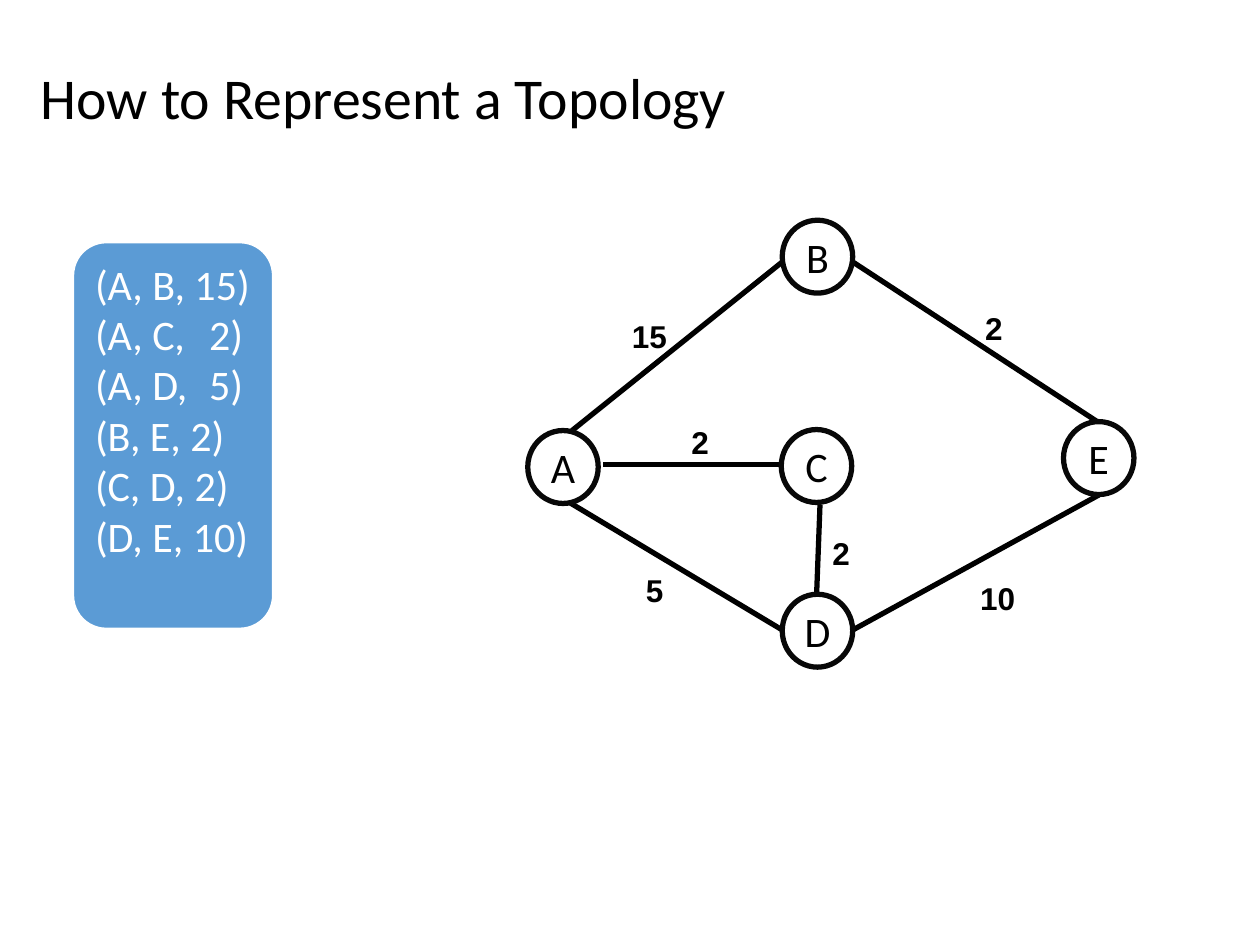
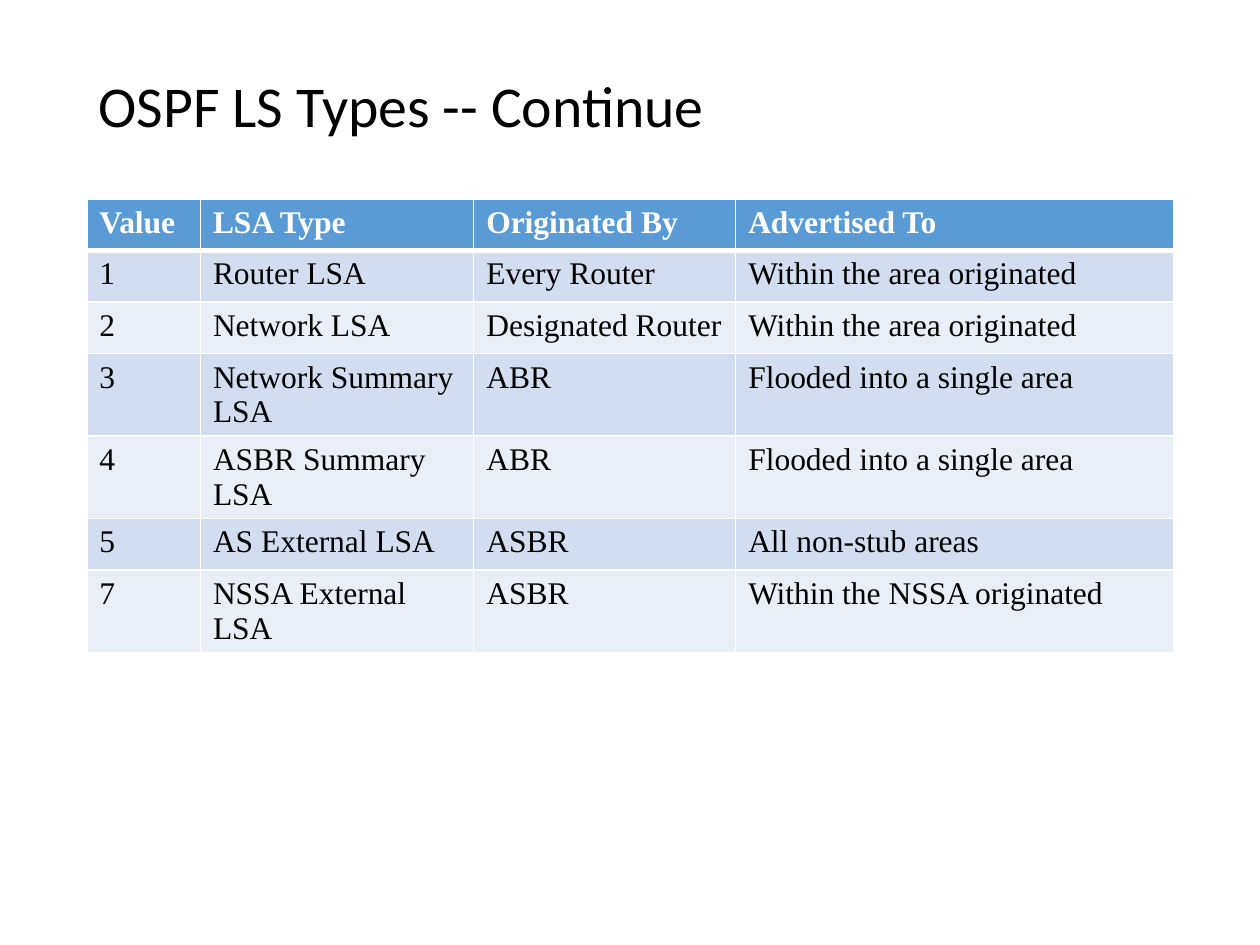
from dataclasses import dataclass

from lxml.etree import SubElement
from pptx import Presentation
from pptx.dml.color import RGBColor
from pptx.enum.shapes import MSO_CONNECTOR, MSO_SHAPE
from pptx.enum.text import MSO_ANCHOR, MSO_AUTO_SIZE, PP_ALIGN
from pptx.oxml.ns import qn
from pptx.util import Cm, Pt


@dataclass(frozen=True)
class Theme:
    ink: str = "000000"
    ring: str = "080808"
    paper: str = "FFFFFF"
    blue: str = "5B9BD5"
    bands: tuple = ("D2DEEF", "EAEFF7")
    sans: str = "Calibri"
    bold: str = "Arial"
    serif: str = "Times New Roman"
    head: int = 33
    big: int = 24
    small: int = 18
    stroke: int = 3
    thin: int = 1


THEME = Theme()

LINKS = ["(A, B, 15)", "(A, C,\t2)", "(A, D,\t5)", "(B, E, 2)", "(C, D, 2)", "(D, E, 10)"]

# Offsets in cm from the top left corner of the graph.
NODE = (1.42, 1.47)
NODES = {"B": (5.13, 0), "E": (10.8, 4.06), "C": (5.11, 4.22),
         "D": (5.13, 7.54), "A": (0, 4.24)}
# Cost, line start, line end, label corner, label width.
EDGES = [
    ("15", (0.89, 4.24), (5.13, 0.84), (1.9, 1.85), 1.42),
    ("2", (6.55, 0.84), (11.48, 4.06), (9.02, 1.68), 1.07),
    ("10", (6.55, 8.26), (11.51, 5.54), (8.92, 7.14), 1.73),
    ("5", (5.13, 8.26), (0.84, 5.69), (2.18, 6.98), 1.07),
    ("2", (1.52, 4.93), (5.13, 4.93), (3.1, 3.99), 1.07),
    ("2", (5.82, 7.59), (5.89, 5.74), (5.94, 6.22), 1.07),
]

COLS = (2.29, 5.51, 5.28, 8.84)
ROWS = [
    ("Value", "LSA Type", "Originated By", "Advertised To"),
    ("1", "Router LSA", "Every Router", "Within the area originated"),
    ("2", "Network LSA", "Designated Router", "Within the area originated"),
    ("3", "Network Summary LSA", "ABR", "Flooded into a single area"),
    ("4", "ASBR Summary LSA", "ABR", "Flooded into a single area"),
    ("5", "AS External LSA", "ASBR", "All non-stub areas"),
    ("7", "NSSA External LSA", "ASBR", "Within the NSSA originated"),
]


def color(code):
    return RGBColor.from_string(code)


def write(frame, text, size=THEME.big, font=THEME.sans, ink=THEME.ink, bold=False,
          align=PP_ALIGN.LEFT, anchor=MSO_ANCHOR.TOP, wrap=True, pad=None, lead=None):
    """Fill a text frame, one paragraph for each line; pad is (side, top) in cm."""
    frame.word_wrap = wrap
    frame.vertical_anchor = anchor
    if pad:
        frame.margin_left = frame.margin_right = Cm(pad[0])
        frame.margin_top = frame.margin_bottom = Cm(pad[1])
    for i, line in enumerate(text.split("\n")):
        para = frame.paragraphs[0] if i == 0 else frame.add_paragraph()
        para.alignment = align
        if lead:
            para.line_spacing = lead
        run = para.add_run()
        run.text = line
        run.font.size, run.font.name, run.font.bold = Pt(size), font, bold
        run.font.color.rgb = color(ink)


def start(deck, title, left, top, anchor):
    """Add a slide whose title sits at the given place."""
    slide = deck.slides.add_slide(deck.slide_layouts[5])
    shape = slide.shapes.title
    shape.left, shape.top, shape.width, shape.height = Cm(left), Cm(top), Cm(21.9), Cm(2.36)
    shape.text_frame.auto_size = MSO_AUTO_SIZE.NONE
    write(shape.text_frame, title, size=THEME.head, anchor=anchor,
          pad=(0.24, 0.12), lead=0.9)
    return slide


def add_tab(para, pos):
    tabs = SubElement(para._p.get_or_add_pPr(), qn("a:tabLst"))
    SubElement(tabs, qn("a:tab"), pos=str(Cm(pos)), algn="l")


def add_list(slide, left, top, width, height):
    """Draw the panel that lists the links with their costs."""
    panel = slide.shapes.add_shape(MSO_SHAPE.FLOWCHART_ALTERNATE_PROCESS,
                                   Cm(left), Cm(top), Cm(width), Cm(height))
    panel.shadow.inherit = False
    panel.fill.solid()
    panel.fill.fore_color.rgb = color(THEME.blue)
    panel.line.color.rgb = color(THEME.paper)
    panel.line.width = Pt(1.5)
    write(panel.text_frame, "\n".join(LINKS), ink=THEME.paper, wrap=False)
    for para in panel.text_frame.paragraphs:
        if "\t" in para.text:
            add_tab(para, 2.3)


def add_edge(slide, begin, end):
    line = slide.shapes.add_connector(MSO_CONNECTOR.STRAIGHT,
                                      *(Cm(v) for v in begin + end))
    line.line.color.rgb = color(THEME.ink)
    line.line.width = Pt(THEME.stroke)
    SubElement(line._element.spPr, qn("a:effectLst"))


def add_node(slide, name, spot):
    node = slide.shapes.add_shape(MSO_SHAPE.OVAL, *(Cm(v) for v in spot + NODE))
    node.shadow.inherit = False
    node.fill.background()
    node.line.color.rgb = color(THEME.ring)
    node.line.width = Pt(THEME.stroke)
    write(node.text_frame, name, align=PP_ALIGN.CENTER, anchor=MSO_ANCHOR.MIDDLE,
          wrap=False, pad=(0, 0))


def add_graph(slide, left, top):
    def place(spot):
        return left + spot[0], top + spot[1]

    for _, begin, end, _, _ in EDGES:
        add_edge(slide, place(begin), place(end))
    for name, spot in NODES.items():
        add_node(slide, name, place(spot))
    for cost, _, _, spot, width in EDGES:
        x, y = place(spot)
        label = slide.shapes.add_textbox(Cm(x), Cm(y), Cm(width), Cm(0.97))
        write(label.text_frame, cost, size=THEME.small, font=THEME.bold, bold=True,
              pad=(0.2, 0.1))


def set_edges(cell, **widths):
    """Rule the cell sides L, R, T and B in white, with widths in points."""
    props = cell._tc.get_or_add_tcPr()
    for side in "LRTB":
        width = widths.get(side, THEME.thin)
        line = SubElement(props, qn(f"a:ln{side}"), w=str(Pt(width)))
        fill = SubElement(line, qn("a:solidFill"))
        SubElement(fill, qn("a:srgbClr"), val=THEME.paper)


def add_grid(slide, left, top, row=1.04):
    grid = slide.shapes.add_table(len(ROWS), len(COLS), Cm(left), Cm(top),
                                  Cm(sum(COLS)), Cm(row * len(ROWS))).table
    for col, width in zip(grid.columns, COLS):
        col.width = Cm(width)
    for r, texts in enumerate(ROWS):
        head = r == 0
        rule = {0: {"B": THEME.stroke}, 1: {"T": THEME.stroke}}.get(r, {})
        for c, text in enumerate(texts):
            cell = grid.cell(r, c)
            set_edges(cell, **rule)
            cell.fill.solid()
            cell.fill.fore_color.rgb = color(THEME.blue if head else THEME.bands[(r - 1) % 2])
            write(cell.text_frame, text, size=THEME.small, font=THEME.serif, bold=head,
                  ink=THEME.paper if head else THEME.ink)


def main():
    deck = Presentation()
    deck.slide_width, deck.slide_height = Cm(25.4), Cm(19.05)

    slide = start(deck, "How to Represent a Topology", 0.58, 0.43, MSO_ANCHOR.BOTTOM)
    add_list(slide, 1.47, 4.88, 4.04, 7.8)
    add_graph(slide, 10.64, 4.44)

    slide = start(deck, "OSPF LS Types -- Continue", 1.75, 1.02, MSO_ANCHOR.MIDDLE)
    add_grid(slide, 1.75, 4.01)

    deck.save("out.pptx")


if __name__ == "__main__":
    main()
